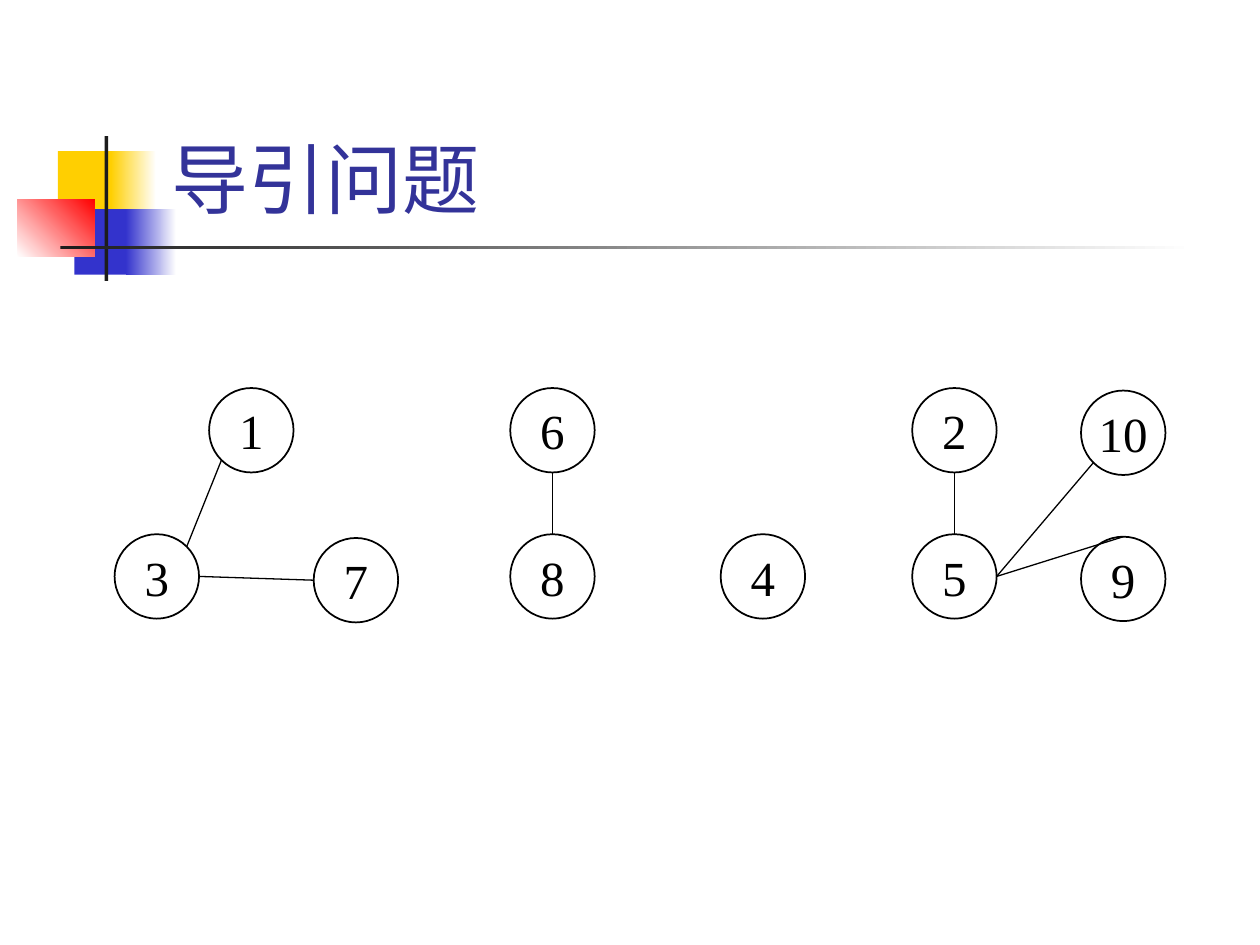
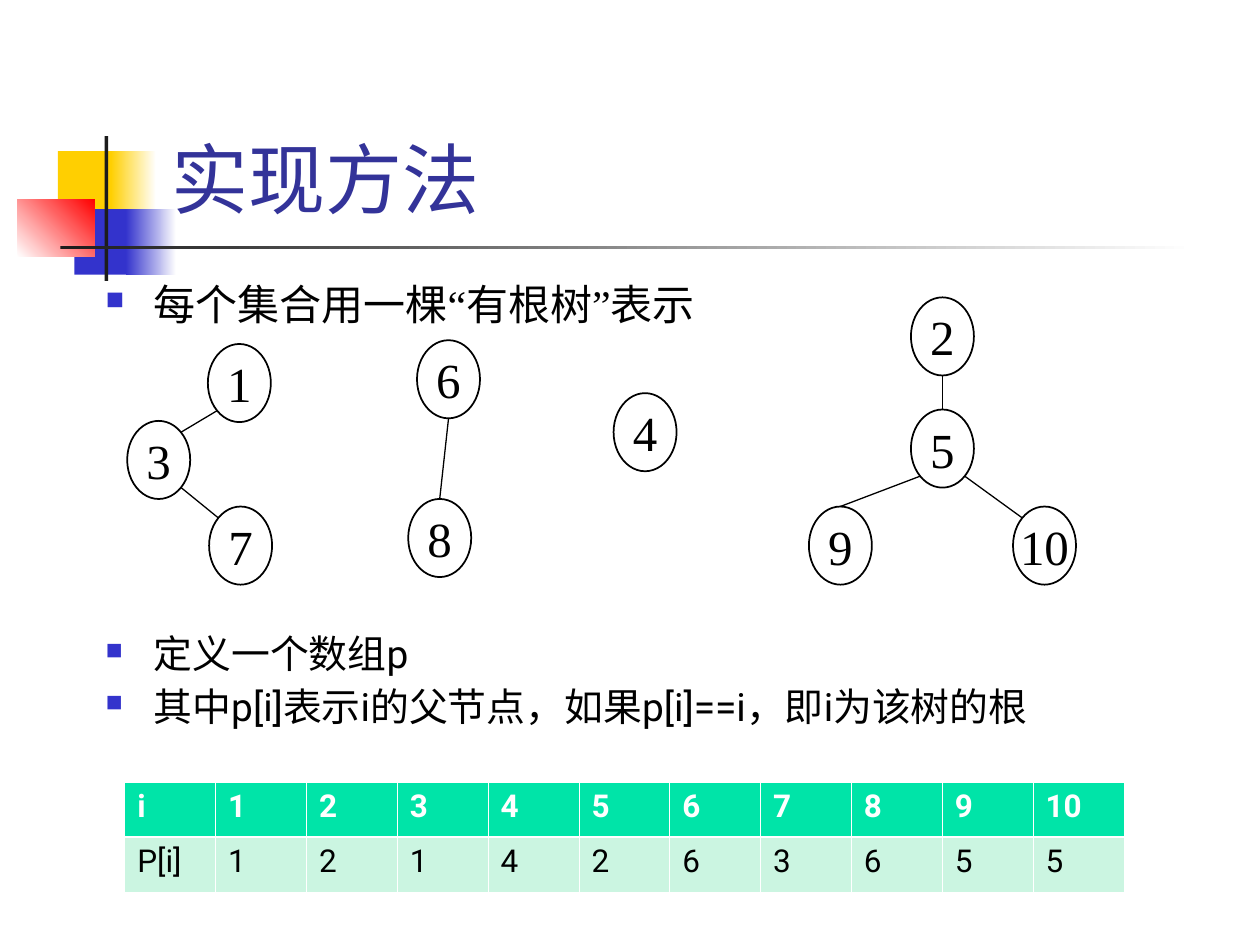
"""Builds two slides that show disjoint sets as graphs and as rooted trees."""
from lxml.etree import SubElement
from pptx import Presentation
from pptx.dml.color import RGBColor
from pptx.enum.shapes import MSO_CONNECTOR as CONNECTOR, MSO_SHAPE as SHAPE
from pptx.enum.text import MSO_ANCHOR as ANCHOR, PP_ALIGN as ALIGN
from pptx.oxml.ns import qn
from pptx.util import Inches, Pt

WHITE = RGBColor(0xFF, 0xFF, 0xFF)
BLACK = RGBColor(0x00, 0x00, 0x00)
CHARCOAL = RGBColor(0x1C, 0x1C, 0x1C)
YELLOW = RGBColor(0xFF, 0xCF, 0x01)
BLUE = RGBColor(0x33, 0x33, 0xCC)
RED = RGBColor(0xFF, 0x00, 0x00)
TITLE_BLUE = RGBColor(0x33, 0x33, 0x99)
HEADER_GREEN = RGBColor(0x00, 0xE4, 0xA8)
ROW_GREEN = RGBColor(0xCB, 0xF5, 0xE1)

SANS = "Roboto"
SERIF = "Times New Roman"

DIAGONAL = 0.354
SITES = {
    "top": (0, -0.5),
    "bottom": (0, 0.5),
    "left": (-0.5, 0),
    "right": (0.5, 0),
    "top left": (-DIAGONAL, -DIAGONAL),
    "top right": (DIAGONAL, -DIAGONAL),
    "bottom left": (-DIAGONAL, DIAGONAL),
    "bottom right": (DIAGONAL, DIAGONAL),
}

BAND = [
    ((0.46, 1.2, 0.48, 0.52), (YELLOW,), 0),
    ((0.88, 1.2, 0.36, 0.52), (YELLOW, WHITE), 0),
    ((0.59, 1.66, 0.46, 0.52), (BLUE,), 0),
    ((1, 1.66, 0.4, 0.52), (BLUE, WHITE), 0),
    ((0.14, 1.58, 0.61, 0.46), (WHITE, RED), 45),
    ((0.83, 1.08, 0.03, 1.15), (CHARCOAL,), 0),
    ((0.48, 1.95, 9, 0.03), (CHARCOAL, WHITE), 0),
]

GRAPH_NODES = {
    1: (1.66, 3.08), 3: (0.91, 4.24), 7: (2.49, 4.27),
    6: (4.05, 3.08), 8: (4.05, 4.24), 4: (5.72, 4.24),
    2: (7.24, 3.08), 5: (7.24, 4.24), 10: (8.58, 3.1), 9: (8.58, 4.26),
}
GRAPH_EDGES = [
    (1, "bottom left", 3, "top right"),
    (7, "left", 3, "right"),
    (8, "top", 6, "bottom"),
    (5, "top", 2, "bottom"),
    (9, "top", 5, "right"),
    (5, "right", 10, "bottom left"),
]

TREE_NODES = {
    1: (1.65, 2.73), 3: (1.01, 3.34), 7: (1.66, 4.02),
    6: (3.31, 2.7), 8: (3.24, 3.96), 4: (4.87, 3.12),
    2: (7.23, 2.36), 5: (7.23, 3.25), 10: (8.04, 4.02), 9: (6.42, 4.02),
}
TREE_EDGES = [
    (1, "bottom left", 3, "top right"),
    (7, "top left", 3, "bottom right"),
    (8, "top", 6, "bottom"),
    (5, "top", 2, "bottom"),
    (9, "top", 5, "bottom left"),
    (5, "bottom right", 10, "top left"),
]

PARENTS = [1, 2, 1, 4, 2, 6, 3, 6, 5, 5]


def write(paragraph, text, font=SANS, size=24, color=BLACK, bold=False):
    run = paragraph.add_run()
    run.text = text
    run.font.name = font
    run.font.size = Pt(size)
    run.font.bold = bold
    run.font.color.rgb = color
    SubElement(run.font._element, qn("a:ea"), typeface=font)


def add_bullet(paragraph):
    properties = paragraph._p.get_or_add_pPr()
    properties.set("marL", str(Inches(0.38)))
    properties.set("indent", str(Inches(-0.38)))
    color = SubElement(properties, qn("a:buClr"))
    SubElement(color, qn("a:srgbClr"), val=str(BLUE))
    SubElement(properties, qn("a:buSzPct"), val="60000")
    SubElement(properties, qn("a:buChar"), char="■")


def set_borders(cell, **widths):
    properties = cell._tc.get_or_add_tcPr()
    for index, side in enumerate(("L", "R", "T", "B")):
        width = Pt(widths.get(side, 0.45))
        line = properties.makeelement(qn(f"a:ln{side}"), {"w": str(width)})
        fill = SubElement(line, qn("a:solidFill"))
        SubElement(fill, qn("a:srgbClr"), val=str(WHITE))
        properties.insert(index, line)


class Deck:
    def __init__(self):
        self.presentation = Presentation()
        self.presentation.slide_width = Inches(10)
        self.presentation.slide_height = Inches(7.5)
        self.slide = None

    def start_slide(self, title):
        layout = self.presentation.slide_layouts[6]
        self.slide = self.presentation.slides.add_slide(layout)
        for box, colors, angle in BAND:
            self.block(box, colors, angle)
        frame = self.text_frame((1.26, 0.23, 8.52, 1.6))
        frame.vertical_anchor = ANCHOR.BOTTOM
        write(frame.paragraphs[0], title, size=44, color=TITLE_BLUE)

    def shape(self, kind, box):
        shape = self.slide.shapes.add_shape(kind, *map(Inches, box))
        shape.shadow.inherit = False
        return shape

    def block(self, box, colors, angle):
        block = self.shape(SHAPE.RECTANGLE, box)
        block.line.fill.background()
        if len(colors) == 1:
            block.fill.solid()
            block.fill.fore_color.rgb = colors[0]
            return
        block.fill.gradient()
        block.fill.gradient_angle = angle
        for stop, position, color in zip(block.fill.gradient_stops, (0, 1), colors):
            stop.position = position
            stop.color.rgb = color

    def text_frame(self, box):
        frame = self.slide.shapes.add_textbox(*map(Inches, box)).text_frame
        frame.word_wrap = True
        return frame

    def bullets(self, box, items, size, line_spacing=1.0):
        frame = self.text_frame(box)
        for index, runs in enumerate(items):
            paragraph = frame.add_paragraph() if index else frame.paragraphs[0]
            paragraph.space_before = Pt(6)
            paragraph.line_spacing = line_spacing
            add_bullet(paragraph)
            for text, font in runs:
                write(paragraph, text, font=font, size=size)

    def node(self, label, box):
        node = self.shape(SHAPE.OVAL, box)
        node.fill.solid()
        node.fill.fore_color.rgb = WHITE
        node.line.color.rgb = BLACK
        node.line.width = Pt(1)
        frame = node.text_frame
        frame.word_wrap = False
        frame.vertical_anchor = ANCHOR.MIDDLE
        frame.paragraphs[0].alignment = ALIGN.CENTER
        write(frame.paragraphs[0], label, font=SERIF, size=28)

    def edge(self, start, end):
        points = map(Inches, (*start, *end))
        edge = self.slide.shapes.add_connector(CONNECTOR.STRAIGHT, *points)
        edge.line.color.rgb = BLACK
        edge.line.width = Pt(0.75)
        SubElement(edge._element.spPr, qn("a:effectLst"))

    def graph(self, nodes, edges, width, height):
        def site_point(label, site):
            left, top = nodes[label]
            across, down = SITES[site]
            return left + width * (0.5 + across), top + height * (0.5 + down)

        for label, position in nodes.items():
            self.node(str(label), (*position, width, height))
        for first, first_site, second, second_site in edges:
            self.edge(site_point(first, first_site), site_point(second, second_site))

    def table(self, box, header, values):
        shapes = self.slide.shapes
        frame = shapes.add_table(2, len(header), *map(Inches, box))
        rows = [
            (header, HEADER_GREEN, WHITE, True, {"B": 1.47}),
            (values, ROW_GREEN, BLACK, False, {"T": 1.47}),
        ]
        for row, (texts, fill, color, bold, widths) in enumerate(rows):
            for column, text in enumerate(texts):
                cell = frame.table.cell(row, column)
                cell.fill.solid()
                cell.fill.fore_color.rgb = fill
                set_borders(cell, **widths)
                write(cell.text_frame.paragraphs[0], str(text),
                      size=18, color=color, bold=bold)


def main():
    deck = Deck()

    deck.start_slide("导引问题")
    deck.graph(GRAPH_NODES, GRAPH_EDGES, 0.67, 0.67)

    deck.start_slide("实现方法")
    rooted_tree = [("每个集合用一棵", SANS), ("“", SERIF), ("有根树", SANS),
                   ("”", SERIF), ("表示", SANS)]
    deck.bullets((0.74, 2.16, 8.52, 0.62), [rooted_tree], 24)
    deck.graph(TREE_NODES, TREE_EDGES, 0.5, 0.62)
    array_rules = [
        [("定义一个数组p", SANS)],
        [("其中p[i]表示i的父节点，如果p[i]==i，即i为该树的根", SANS)],
    ]
    deck.bullets((0.74, 4.99, 8.68, 1.18), array_rules, 22.2, line_spacing=0.9)
    deck.table((0.99, 6.21, 7.93, 0.87), ["i", *range(1, 11)], ["P[i]", *PARENTS])

    deck.presentation.save("out.pptx")


if __name__ == "__main__":
    main()
